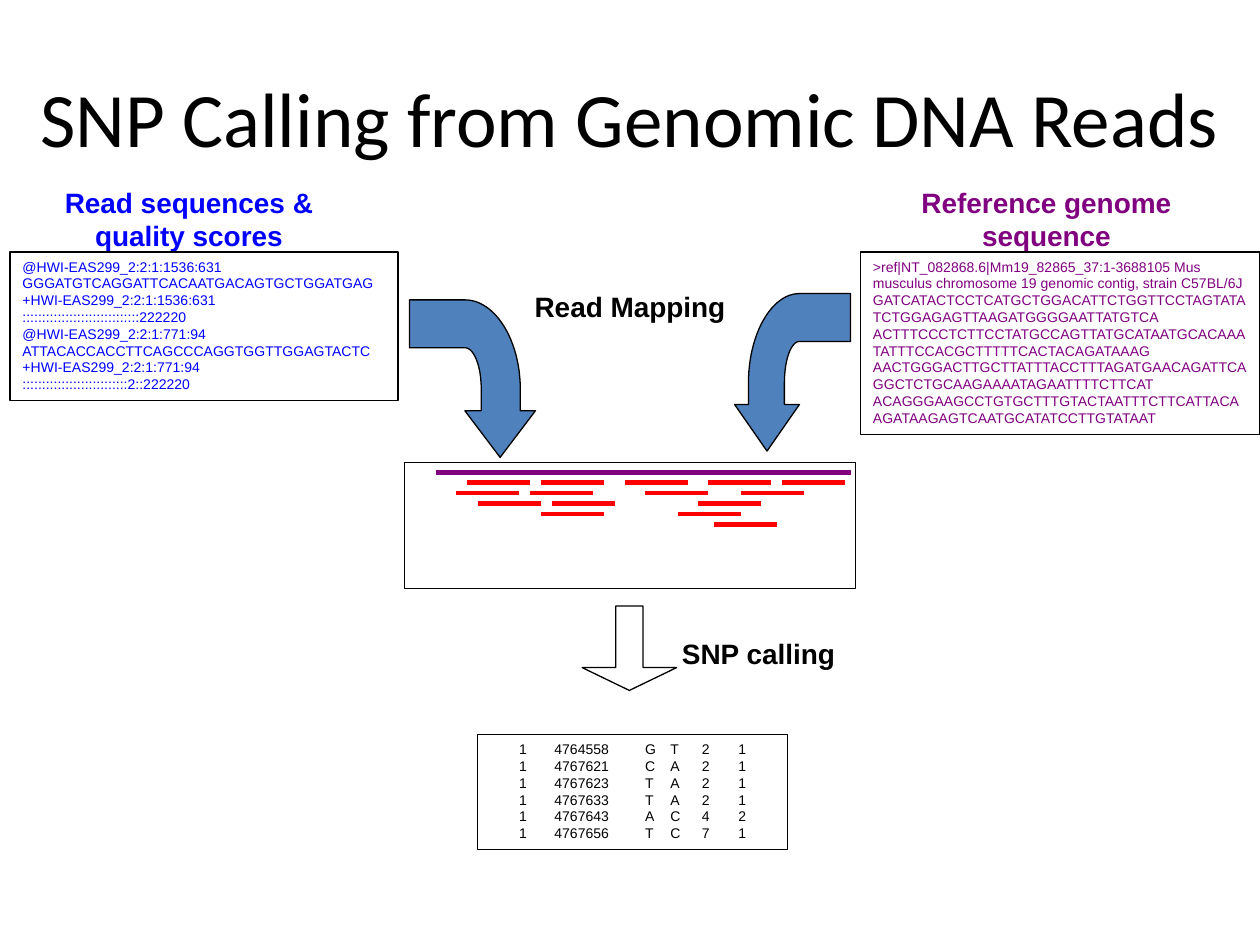
from lxml import etree
from pptx import Presentation
from pptx.dml.color import RGBColor
from pptx.enum.shapes import MSO_CONNECTOR, MSO_SHAPE
from pptx.enum.text import MSO_ANCHOR, PP_ALIGN
from pptx.oxml.ns import qn
from pptx.util import Inches, Pt

BLACK = RGBColor(0x00, 0x00, 0x00)
WHITE = RGBColor(0xFF, 0xFF, 0xFF)
BLUE = RGBColor(0x00, 0x00, 0xFF)
PURPLE = RGBColor(0x80, 0x00, 0x80)
RED = RGBColor(0xFF, 0x00, 0x00)
STEEL = RGBColor(0x4F, 0x81, 0xBD)

RECTANGLE = MSO_SHAPE.RECTANGLE
DOWN_ARROW = MSO_SHAPE.DOWN_ARROW
STRAIGHT = MSO_CONNECTOR.STRAIGHT
LEFT, CENTER = PP_ALIGN.LEFT, PP_ALIGN.CENTER
TOP, MIDDLE = MSO_ANCHOR.TOP, MSO_ANCHOR.MIDDLE

READ_SEQUENCES = [
    "@HWI-EAS299_2:2:1:1536:631",
    "GGGATGTCAGGATTCACAATGACAGTGCTGGATGAG",
    "+HWI-EAS299_2:2:1:1536:631",
    "::::::::::::::::::::::::::::::222220",
    "@HWI-EAS299_2:2:1:771:94",
    "ATTACACCACCTTCAGCCCAGGTGGTTGGAGTACTC",
    "+HWI-EAS299_2:2:1:771:94",
    ":::::::::::::::::::::::::::2::222220",
]
REFERENCE_GENOME = [
    ">ref|NT_082868.6|Mm19_82865_37:1-3688105 Mus musculus chromosome 19 genomic contig, strain C57BL/6J",
    "GATCATACTCCTCATGCTGGACATTCTGGTTCCTAGTATATCTGGAGAGTTAAGATGGGGAATTATGTCA",
    "ACTTTCCCTCTTCCTATGCCAGTTATGCATAATGCACAAATATTTCCACGCTTTTTCACTACAGATAAAG",
    "AACTGGGACTTGCTTATTTACCTTTAGATGAACAGATTCAGGCTCTGCAAGAAAATAGAATTTTCTTCAT",
    "ACAGGGAAGCCTGTGCTTTGTACTAATTTCTTCATTACAAGATAAGAGTCAATGCATATCCTTGTATAAT",
]
VARIANTS = [
    ("1", "4764558", "G", "T", "2", "1"),
    ("1", "4767621", "C", "A", "2", "1"),
    ("1", "4767623", "T", "A", "2", "1"),
    ("1", "4767633", "T", "A", "2", "1"),
    ("1", "4767643", "A", "C", "4", "2"),
    ("1", "4767656", "T", "C", "7", "1"),
]
VARIANT_TABS = (0.28, 1.0, 1.2, 1.45, 1.74)
READ_STARTS = [
    (3.71, 4.29, 4.96, 5.62, 6.21),
    (3.62, 4.21, 5.12, 5.88),
    (3.79, 4.38, 5.54),
    (4.29, 5.38),
    (5.67,),
]
READ_LENGTH = 0.5
READ_TOP, READ_STEP = 3.83, 1 / 12


def bezier(start, first, second, end, steps=24):
    """Return points along a cubic curve, without its start."""
    points = []
    for step in range(1, steps + 1):
        t = step / steps
        weights = ((1 - t) ** 3, 3 * t * (1 - t) ** 2, 3 * t * t * (1 - t), t ** 3)
        controls = (start, first, second, end)
        points.append(tuple(sum(w * c[axis] for w, c in zip(weights, controls))
                            for axis in (0, 1)))
    return points


BENT_ARROW = [
    (0, 0), (0.44, 0),
    *bezier((0.44, 0), (0.68, 0), (0.88, 0.32), (0.88, 0.71)),
    (0.88, 0.88), (1, 0.88), (0.72, 1.25), (0.44, 0.88), (0.57, 0.88), (0.57, 0.71),
    *bezier((0.57, 0.71), (0.57, 0.52), (0.51, 0.38), (0.44, 0.38)),
    (0, 0.38),
]


class SlideBuilder:
    """Hold the style and the current slide, and draw each kind of element."""

    label_style = {"name": "Arial", "size": Pt(16), "bold": True}
    data_style = {"name": "Arial", "size": Pt(8), "bold": False}
    title_style = {"name": "Calibri", "size": Pt(44)}

    def __init__(self, deck):
        self.page = deck.slides.add_slide(deck.slide_layouts[5])

    def fill_text(self, frame, lines, style, color, align=LEFT, tabs=()):
        for index, line in enumerate(lines):
            para = frame.paragraphs[0] if index == 0 else frame.add_paragraph()
            para.alignment = align
            if tabs:
                tab_list = etree.SubElement(para._p.get_or_add_pPr(), qn("a:tabLst"))
                for position in tabs:
                    etree.SubElement(tab_list, qn("a:tab"),
                                     pos=str(Inches(position)), algn="l")
            span = para.add_run()
            span.text = line
            for name, value in style.items():
                setattr(span.font, name, value)
            span.font.color.rgb = color

    def outline(self, shape, fill=None):
        shape.shadow.inherit = False
        if fill is None:
            shape.fill.background()
        else:
            shape.fill.solid()
            shape.fill.fore_color.rgb = fill
        shape.line.color.rgb = BLACK
        shape.line.width = Pt(0.75)

    def title(self, text, *area):
        box = self.page.shapes.title
        box.left, box.top, box.width, box.height = map(Inches, area)
        box.text_frame.vertical_anchor = MIDDLE
        self.fill_text(box.text_frame, [text], self.title_style, BLACK, CENTER)

    def label(self, lines, color, *area):
        box = self.page.shapes.add_textbox(*map(Inches, area))
        box.text_frame.word_wrap = False
        self.fill_text(box.text_frame, lines, self.label_style, color, CENTER)

    def shape(self, kind, *area, fill=None):
        shape = self.page.shapes.add_shape(kind, *map(Inches, area))
        self.outline(shape, fill)
        return shape

    def data_box(self, lines, color, *area, inset=0.1, tabs=()):
        frame = self.shape(RECTANGLE, *area, fill=WHITE).text_frame
        frame.word_wrap = True
        frame.vertical_anchor = TOP
        frame.margin_left = Inches(inset)
        self.fill_text(frame, lines, self.data_style, color, tabs=tabs)

    def strand(self, left, top, length, color):
        line = self.page.shapes.add_connector(
            STRAIGHT, Inches(left), Inches(top), Inches(left + length), Inches(top))
        line.line.color.rgb = color
        line.line.width = Pt(2.5)
        etree.SubElement(line._element.spPr, qn("a:effectLst"))

    def bent_arrow(self, left, top, stretch):
        points = [(Inches(left + x * stretch), Inches(top + y)) for x, y in BENT_ARROW]
        builder = self.page.shapes.build_freeform(*points[0])
        builder.add_line_segments(points[1:], close=True)
        self.outline(builder.convert_to_shape(), STEEL)


def main():
    deck = Presentation()
    deck.slide_width, deck.slide_height = Inches(10), Inches(7.5)
    slide = SlideBuilder(deck)
    slide.title("SNP Calling from Genomic DNA Reads", 0, 0.3, 10, 1.25)

    slide.label(["Read Mapping"], BLACK, 4.14, 2.25, 1.72, 0.37)
    slide.strand(3.46, 3.75, 3.29, PURPLE)
    for row, starts in enumerate(READ_STARTS):
        for start in starts:
            slide.strand(start, READ_TOP + row * READ_STEP, READ_LENGTH, RED)
    slide.shape(RECTANGLE, 3.21, 3.67, 3.58, 1)

    slide.label(["Reference genome", "sequence"], PURPLE, 6.64, 1.42, 3.33, 0.64)
    slide.data_box(REFERENCE_GENOME, PURPLE, 6.83, 2, 3.17, 1.45)
    slide.label(["Read sequences &", "quality scores"], BLUE, 0.38, 1.42, 2.24, 0.64)
    slide.data_box(READ_SEQUENCES, BLUE, 0.08, 2, 3.08, 1.18)

    down_arrow = slide.shape(DOWN_ARROW, 4.62, 4.81, 0.75, 0.67)
    down_arrow.adjustments[0] = 0.29
    down_arrow.adjustments[1] = 0.27
    slide.label(["SNP calling"], BLACK, 5.31, 5, 1.42, 0.37)
    slide.data_box(["\t".join(variant) for variant in VARIANTS], BLACK,
                   3.79, 5.83, 2.46, 0.91, inset=0.33, tabs=VARIANT_TABS)

    slide.bent_arrow(3.25, 2.38, 1)
    slide.bent_arrow(6.75, 2.33, -0.92)
    deck.save("out.pptx")


if __name__ == "__main__":
    main()
